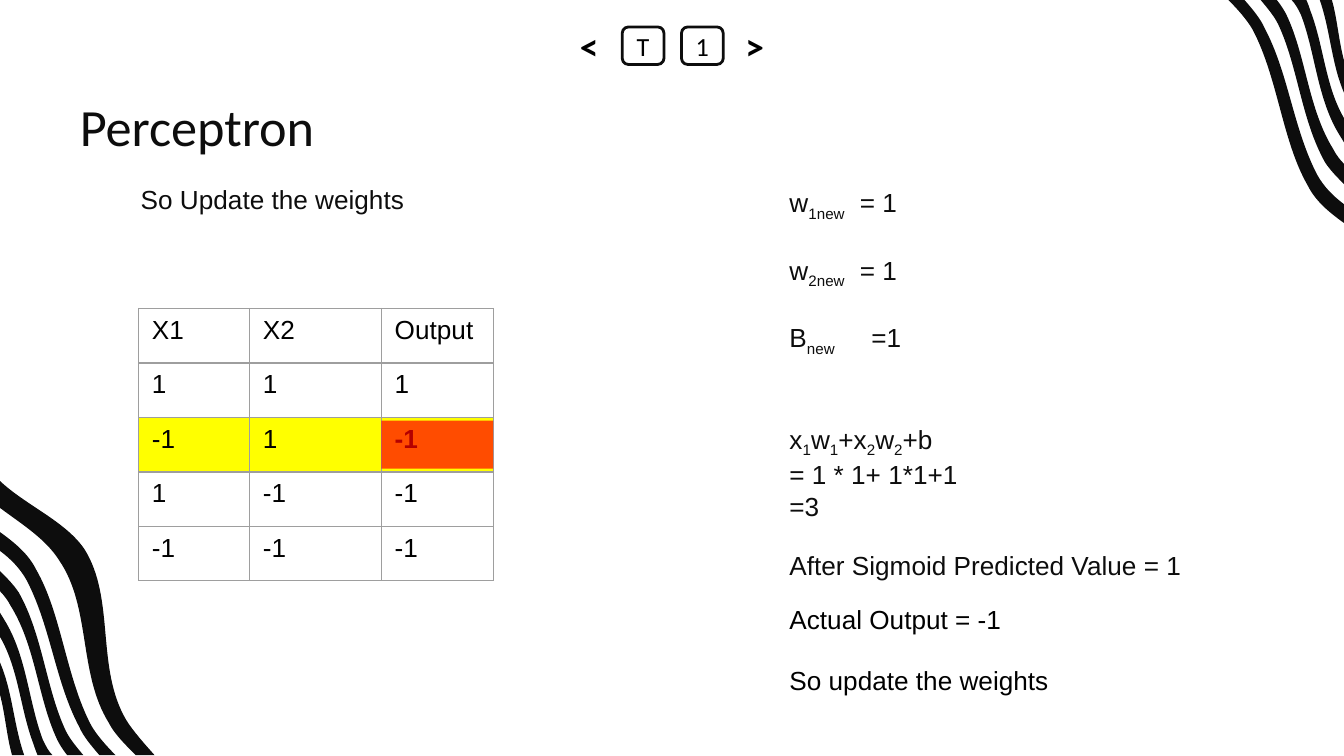
import pptx
import pptx.dml.color
import pptx.enum.shapes
import pptx.enum.text
import pptx.oxml
import pptx.oxml.ns
import pptx.util

Cm, Pt = pptx.util.Cm, pptx.util.Pt
RGB = pptx.dml.color.RGBColor.from_string
SHAPE = pptx.enum.shapes.MSO_SHAPE
ALIGN = pptx.enum.text.PP_ALIGN
ANCHOR = pptx.enum.text.MSO_ANCHOR
NS = pptx.oxml.ns.nsdecls("a")
qn = pptx.oxml.ns.qn
COLORS = {"ink": "0D0D0D", "black": "000000", "white": "FFFFFF",
          "grid": "9E9E9E", "yellow": "FFFF00", "red": "FF0000"}


def write(tf, text, size=14, font="Arial", color="ink", bold=False, align=ALIGN.LEFT,
          anchor=ANCHOR.TOP, inset=0.25, before=0, line=None, tabs=()):
    """Fill a frame: newlines part paragraphs, every second |-part is a subscript."""
    tf.word_wrap = True
    tf.vertical_anchor = anchor
    tf.margin_left = tf.margin_right = tf.margin_top = tf.margin_bottom = Cm(inset)
    for i, row in enumerate(text.split("\n")):
        p = tf.add_paragraph() if i else tf.paragraphs[0]
        if tabs:
            p._p.get_or_add_pPr().append(pptx.oxml.parse_xml(
                f'<a:tabLst {NS}><a:tab pos="{Cm(tabs[i])}" algn="l"/></a:tabLst>'))
        p.alignment = align
        if line:
            p.line_spacing = line
        if i and before:
            p.space_before = Pt(before)
        for j, part in enumerate(row.split("|")):
            if not part:
                continue
            r = p.add_run()
            r.text = part
            r.font.size, r.font.name, r.font.bold = Pt(size), font, bold
            r.font.color.rgb = RGB(COLORS[color])
            if j % 2:
                r._r.get_or_add_rPr().set("baseline", "-25000")


def bend(segments):
    """Turn each three line segments into one cubic curve."""
    for k in range(0, len(segments), 3):
        curve = pptx.oxml.parse_xml(f"<a:cubicBezTo {NS}/>")
        segments[k].addprevious(curve)
        for segment in segments[k:k + 3]:
            curve.append(segment.find(qn("a:pt")))
            segment.getparent().remove(segment)


prs = pptx.Presentation()
prs.slide_width, prs.slide_height = Cm(25.4), Cm(14.29)
s = prs.slides.add_slide(prs.slide_layouts[6])

# Corner stripes in inches: lower edge going down, upper edge coming back
stripes = [
    ([(0, 3.78), (.16, 3.9), (.34, 4.01), (.44, 4.17), (.68, 4.52), (.58, 5.01),
      (.81, 5.38), (.85, 5.46), (.93, 5.54), (1.01, 5.62)],
     [(1.15, 5.62), (1.07, 5.53), (.99, 5.44), (.94, 5.36), (.71, 4.97), (.86, 4.46),
      (.63, 4.09), (.49, 3.88), (.19, 3.76), (0, 3.58)]),
    ([(0, 4.1), (.08, 4.16), (.15, 4.23), (.2, 4.32), (.38, 4.67), (.41, 5.07),
      (.59, 5.41), (.62, 5.48), (.68, 5.55), (.74, 5.62)],
     [(.86, 5.62), (.79, 5.55), (.72, 5.47), (.68, 5.4), (.49, 5.04), (.46, 4.57),
      (.27, 4.24), (.21, 4.12), (.11, 4.04), (0, 3.96)]),
    ([(0, 4.4), (.03, 4.43), (.06, 4.47), (.08, 4.51), (.26, 4.8), (.28, 5.17),
      (.41, 5.47), (.43, 5.52), (.46, 5.57), (.5, 5.62)],
     [(.62, 5.62), (.57, 5.56), (.52, 5.5), (.49, 5.44), (.34, 5.12), (.32, 4.73),
      (.14, 4.41), (.1, 4.35), (.05, 4.3), (0, 4.25)]),
    ([(0, 4.74), (.14, 4.98), (.15, 5.28), (.25, 5.54), (.26, 5.57), (.27, 5.6), (.28, 5.62)],
     [(.39, 5.62), (.36, 5.59), (.34, 5.55), (.32, 5.51), (.21, 5.22), (.2, 4.88),
      (.03, 4.61), (.02, 4.59), (.01, 4.58), (0, 4.56)]),
    ([(0, 5.17), (.04, 5.32), (.05, 5.48), (.09, 5.62)],
     [(.18, 5.62), (.18, 5.61), (.17, 5.6), (.17, 5.59), (.1, 5.37), (.09, 5.14), (0, 4.93)]),
]
# The top right corner is the bottom left one turned half round, without the widest stripe
stripes += [[[(10 - x, 5.62 - y) for x, y in edge] for edge in edges] for edges in stripes[1:]]
for lower, upper in stripes:
    points = [(Cm(x * 2.54), Cm(y * 2.54)) for x, y in lower + upper]
    builder = s.shapes.build_freeform(*points[0])
    builder.add_line_segments(points[1:], close=True)
    sp = builder.convert_to_shape()
    segments = list(sp._element.iter(qn("a:lnTo")))
    bend(segments[:len(lower) - 1])
    bend(segments[len(lower):])
    sp.shadow.inherit = False
    sp.fill.solid()
    sp.fill.fore_color.rgb = RGB(COLORS["ink"])
    sp.line.fill.background()

# Navigation keys
for left, label in ((12.88, "1"), (11.76, "T"), (10.74, "<"), (13.87, ">")):
    arrow = label in "<>"
    sp = s.shapes.add_shape(SHAPE.ROUNDED_RECTANGLE, Cm(left), Cm(0.51), Cm(0.79), Cm(0.71))
    sp.shadow.inherit = False
    sp.fill.solid()
    sp.fill.fore_color.rgb = RGB(COLORS["white"])
    if arrow:
        sp.line.fill.background()
    else:
        sp.line.color.rgb = RGB(COLORS["ink"])
        sp.line.width = Pt(1.5)
    write(sp.text_frame, label, size=20 if arrow else 14, font="Calibri", color="black",
          bold=arrow, align=ALIGN.CENTER, anchor=ANCHOR.MIDDLE, inset=0)

# Title, subtitle and the working on the right
COLUMN = 14.67
texts = [
    (1.26, 1.68, 20.55, 1.6, "Perceptron",
     dict(size=28, font="Calibri", anchor=ANCHOR.MIDDLE, line=0.8)),
    (2.41, 3.21, 20.83, 0.91, "So Update the weights", {}),
    (COLUMN, 3.28, 3.96, 3.51, "w|1new|\t= 1\nw|2new|\t= 1\nB|new|\t=1",
     dict(before=17, tabs=(1.33, 1.33, 1.55))),
    (COLUMN, 7.75, 8.56, 2.39, "x|1|w|1|+x|2|w|2|+b\n= 1 * 1+ 1*1+1\n=3", {}),
    (COLUMN, 10.14, 8.56, 1.14, "After Sigmoid Predicted Value = 1", {}),
    (COLUMN, 11.28, 7.34, 0.86, "Actual Output = -1", dict(color="black")),
    (COLUMN, 12.43, 6.58, 0.86, "So update the weights", dict(color="black")),
]
for left, top, width, height, text, style in texts:
    sp = s.shapes.add_textbox(Cm(left), Cm(top), Cm(width), Cm(height))
    write(sp.text_frame, text, **style)
    if style.get("color") == "black":
        sp.text_frame.margin_top = sp.text_frame.margin_bottom = Cm(0.13)

# Truth table
rows = [("X1", "X2", "Output"), ("1", "1", "1"), ("-1", "1", "-1"),
        ("1", "-1", "-1"), ("-1", "-1", "-1")]
widths = (2.1, 2.49, 2.12)
current = 2
table = s.shapes.add_table(len(rows), len(widths), Cm(2.62), Cm(5.83),
                           Cm(sum(widths)), Cm(1.03 * len(rows))).table
table.first_row = table.horz_banding = False
for column, width in zip(table.columns, widths):
    column.width = Cm(width)
for i, row in enumerate(rows):
    table.rows[i].height = Cm(1.03)
    for j, value in enumerate(row):
        cell = table.cell(i, j)
        write(cell.text_frame, value, color="black", bold=(i, j) == (current, 2), inset=0.13)
        cell.margin_left = cell.margin_right = Cm(0.25)
        cell.margin_top = cell.margin_bottom = Cm(0.13)
        for side in "LRTB":
            cell._tc.get_or_add_tcPr().append(pptx.oxml.parse_xml(
                f'<a:ln{side} {NS} w="{Pt(0.75)}"><a:solidFill>'
                f'<a:srgbClr val="{COLORS["grid"]}"/></a:solidFill></a:ln{side}>'))
        if i == current:
            cell.fill.solid()
            cell.fill.fore_color.rgb = RGB(COLORS["yellow"])
        else:
            cell.fill.background()

# Translucent mark over the wrong output
sp = s.shapes.add_shape(SHAPE.RECTANGLE, Cm(7.21), Cm(7.95), Cm(2.11), Cm(0.91))
sp.shadow.inherit = False
sp.fill.solid()
sp.fill.fore_color.rgb = RGB(COLORS["red"])
sp.line.fill.background()
sp._element.spPr.find(".//" + qn("a:srgbClr")).append(
    pptx.oxml.parse_xml(f'<a:alpha {NS} val="70000"/>'))

prs.save("out.pptx")
